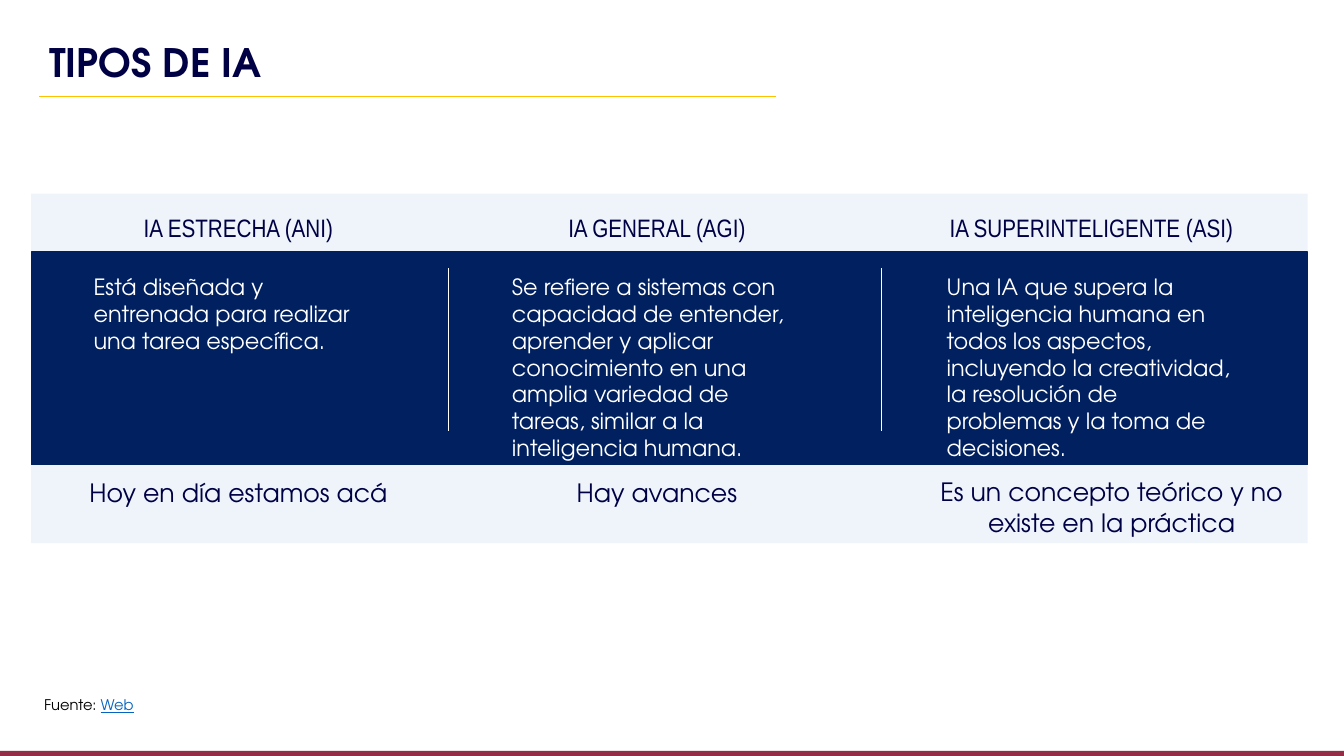
from lxml.etree import SubElement
from pptx import Presentation
from pptx.dml.color import RGBColor
from pptx.enum.shapes import MSO_CONNECTOR, MSO_SHAPE
from pptx.enum.text import MSO_AUTO_SIZE, PP_ALIGN
from pptx.oxml.ns import qn
from pptx.util import Pt

EMU_PER_PX = 9144  # 100 px to the inch
COLORS = {
    "ink": "000045", "navy": "002060", "pale": "DEEBF7", "gold": "FFC000",
    "wine": "962D46", "white": "FFFFFF", "black": "000000", "link": "0563C1",
}
DISPLAY = "TeX Gyre Adventor"
NARROW = "Arial Narrow"


def px(*lengths):
    return [length * EMU_PER_PX for length in lengths]


def rgb(name):
    return RGBColor.from_string(COLORS[name])


class SlideBuilder:
    def __init__(self, deck):
        self.page = deck.slides.add_slide(deck.slide_layouts[6])

    def band(self, left, top, width, height, fill, opacity=100, outlined=False):
        shape = self.page.shapes.add_shape(
            MSO_SHAPE.RECTANGLE, *px(left, top, width, height))
        shape.shadow.inherit = False
        shape.fill.solid()
        shape.fill.fore_color.rgb = rgb(fill)
        if opacity < 100:
            color = shape.fill._xPr.find(".//" + qn("a:srgbClr"))
            SubElement(color, qn("a:alpha"), val=str(opacity * 1000))
        if outlined:
            shape.line.color.rgb = rgb(fill)
            shape.line.width = Pt(1)
        else:
            shape.line.fill.background()

    def rule(self, x1, y1, x2, y2, color, weight):
        line = self.page.shapes.add_connector(
            MSO_CONNECTOR.STRAIGHT, *px(x1, y1, x2, y2))
        line.line.color.rgb = rgb(color)
        line.line.width = Pt(weight)
        SubElement(line._element.spPr, qn("a:effectLst"))

    def text(self, left, top, width, height, words, size, color="ink",
             font=DISPLAY, align=PP_ALIGN.LEFT, bold=False, spacing=None):
        box = self.page.shapes.add_textbox(*px(left, top, width, height))
        frame = box.text_frame
        frame.word_wrap = True
        frame.auto_size = MSO_AUTO_SIZE.SHAPE_TO_FIT_TEXT
        para = frame.paragraphs[0]
        para.alignment = align
        para.line_spacing = spacing
        self.span(para, words, size, color, font, bold)
        return para

    def span(self, para, words, size, color, font=DISPLAY, bold=False,
             underline=False):
        span = para.add_run()
        span.text = words
        span.font.name = font
        span.font.size = Pt(size)
        span.font.bold = bold
        span.font.underline = underline
        span.font.color.rgb = rgb(color)


# heading left, note left, note top, note height, heading, body, body height, note
COLUMNS = [
    (42, 42, 469, 40, "IA ESTRECHA (ANI)",
     "Está diseñada y entrenada para realizar una tarea específica.", 91,
     "Hoy en día estamos acá"),
    (457, 457, 469, 40, "IA GENERAL (AGI)",
     "Se refiere a sistemas con capacidad de entender, aprender y aplicar "
     "conocimiento en una amplia variedad de tareas, similar a la "
     "inteligencia humana.", 172,
     "Hay avances"),
    (888, 908, 468, 71, "IA SUPERINTELIGENTE (ASI)",
     "Una IA que supera la inteligencia humana en todos los aspectos, "
     "incluyendo la creatividad, la resolución de problemas y la toma de "
     "decisiones.", 172,
     "Es un concepto teórico y no existe en la práctica"),
]


def main():
    deck = Presentation()
    deck.slide_width, deck.slide_height = px(1333, 750)
    slide = SlideBuilder(deck)

    # Footer band and title
    slide.band(0, 745, 1333, 6, "wine")
    slide.text(39, 38, 777, 53, "TIPOS DE IA", 28, bold=True, spacing=0.9)
    slide.rule(39, 96, 770, 96, "gold", 1)

    # Panels
    slide.band(31, 192, 1266, 347, "pale", opacity=50)
    slide.band(31, 250, 1266, 211, "navy", outlined=True)

    # Columns: heading, body and note
    for (left, note_left, note_top, note_height,
         heading, body, body_height, note) in COLUMNS:
        slide.text(left, 206, 389, 40, heading, 18, font=NARROW,
                   align=PP_ALIGN.CENTER)
        slide.text(left + 41, 266, 306, body_height, body, 16, "white")
        slide.text(note_left, note_top, 389, note_height, note, 18,
                   align=PP_ALIGN.CENTER)

    # Dividers
    for x in (445, 874):
        slide.rule(x, 266, x, 428, "white", 0.5)

    # Source
    credit = slide.text(34, 685, 308, 28, "Fuente: ", 10.5, "black")
    slide.span(credit, "Web", 10.5, "link", underline=True)

    deck.save("out.pptx")


if __name__ == "__main__":
    main()
